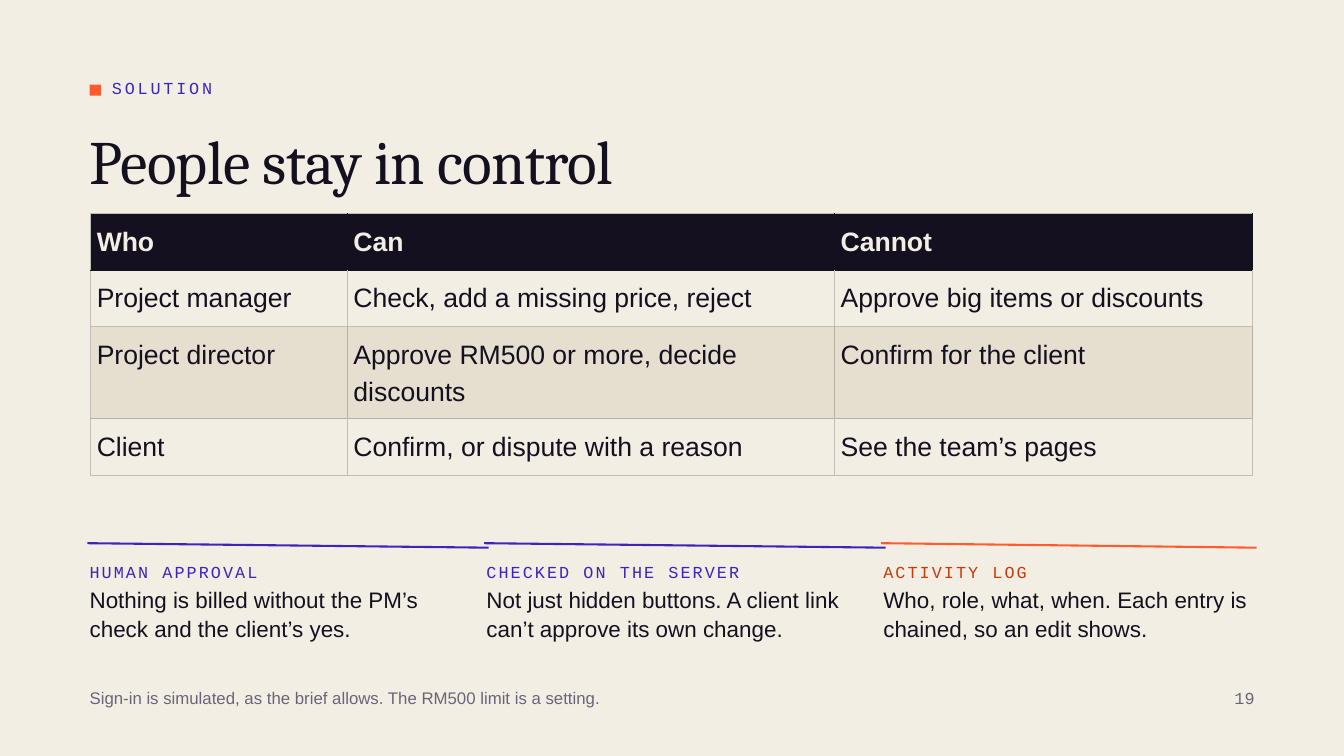
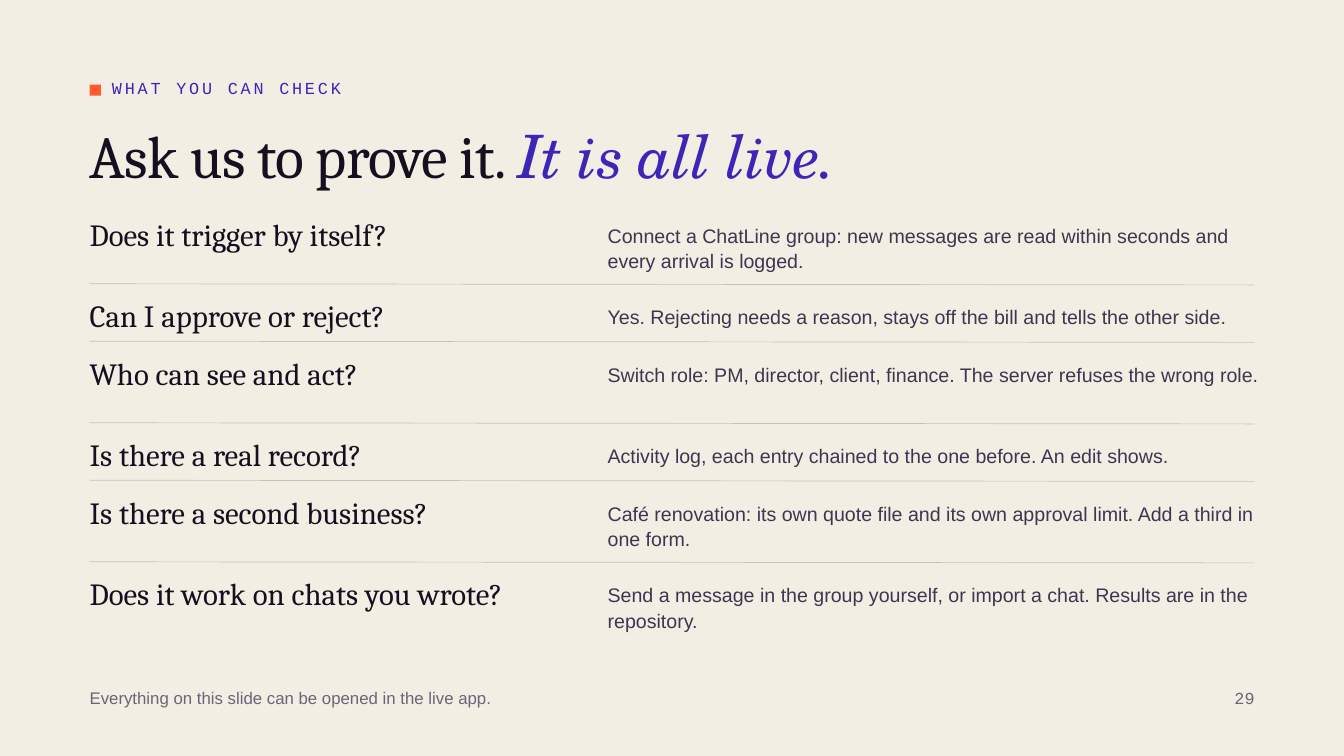
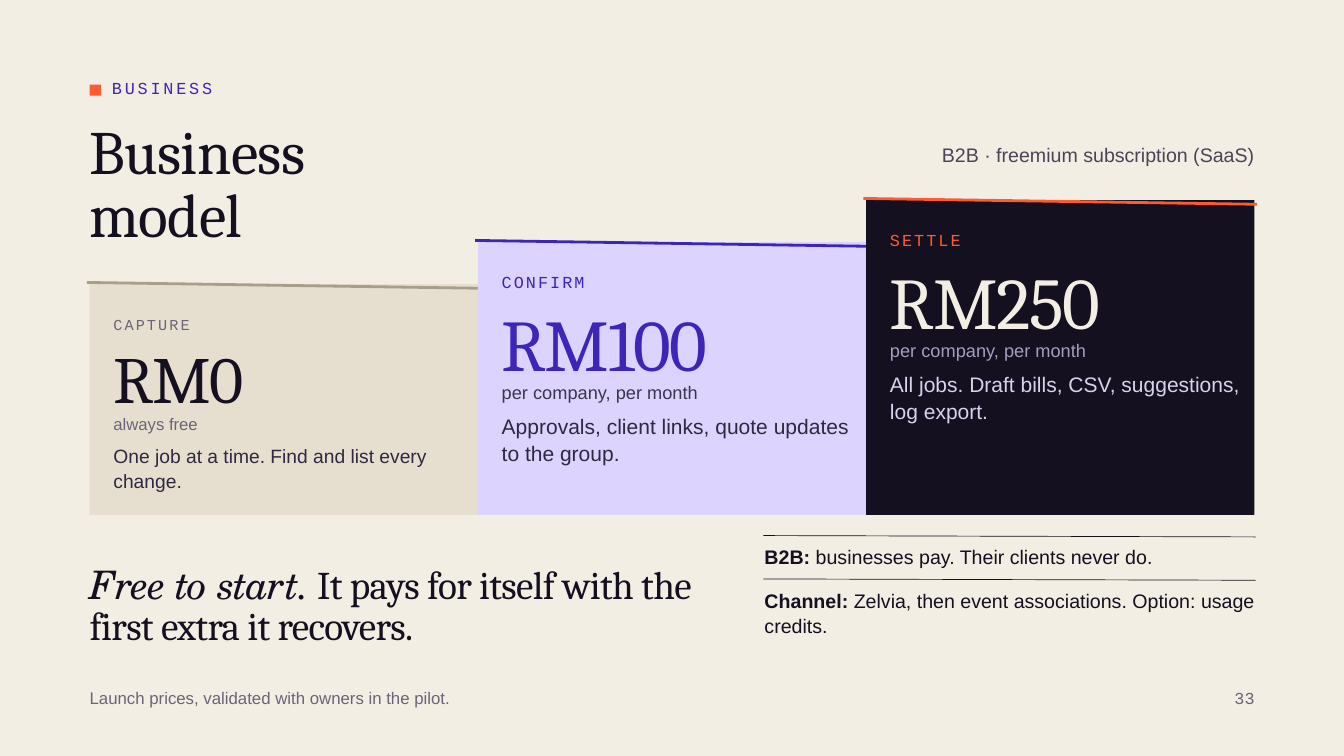
from dataclasses import dataclass, replace

from lxml import etree
from pptx import Presentation
from pptx.dml.color import RGBColor
from pptx.enum.shapes import MSO_CONNECTOR, MSO_SHAPE
from pptx.enum.text import MSO_AUTO_SIZE, PP_ALIGN
from pptx.oxml.ns import qn
from pptx.util import Inches, Pt

RECTANGLE = MSO_SHAPE.RECTANGLE
STRAIGHT = MSO_CONNECTOR.STRAIGHT
GROW = MSO_AUTO_SIZE.SHAPE_TO_FIT_TEXT
LEFT, RIGHT = PP_ALIGN.LEFT, PP_ALIGN.RIGHT

SLIDE_WIDTH, SLIDE_HEIGHT = 20, 11.25
GRID_COLUMNS, GRID_ROWS = 120, 67.5
TEXT_SLACK = 1.03


@dataclass(frozen=True)
class Style:
    size: float
    leading: float
    colour: str
    font: str = "Arial"
    spacing: float = 0
    bold: bool = False
    italic: bool = False


@dataclass(frozen=True)
class Theme:
    paper: str = "F3EEE4"
    ink: str = "14101F"
    indigo: str = "3D25B8"
    orange: str = "FF5B2E"
    rust: str = "C93A0B"
    sand: str = "E6DFD0"
    lilac: str = "DCD3FF"
    khaki: str = "A89F8A"
    rule: str = "C9C1B0"
    grid: str = "C2BEB6"
    grid_dark: str = "14111C"
    grid_sand: str = "B8B2A6"
    muted: str = "6B6478"
    plum: str = "2E2940"
    slate: str = "3A3550"
    mist: str = "A59DC0"
    pale: str = "D9D2EE"
    accent_font: str = "TeX Gyre Schola"
    eyebrow: Style = Style(18, 25.2, indigo, "Courier New", 3)
    label: Style = Style(18, 25.2, indigo, "Courier New", 2.2)
    title: Style = Style(66, 67.3, ink, "Cambria", -0.7)
    title_mixed: Style = Style(64.1, 65.4, ink, "Cambria", -0.8)
    statement: Style = Style(42, 44.1, ink, "Cambria", -0.7)
    question: Style = Style(33, 36.3, ink, "Cambria")
    answer: Style = Style(21, 27.3, "3D3650")
    note: Style = Style(21, 27.3, ink)
    aside: Style = Style(21, 29.4, "4A4458")
    body: Style = Style(24, 31.2, ink)
    cell: Style = Style(28.5, 39.9, ink)
    footnote: Style = Style(18, 24.3, muted)
    page_number: Style = Style(18, 25.2, muted, "Courier New")
    amount: Style = Style(78, 78, ink, "Cambria", -1.5)
    period: Style = Style(19.5, 27.3, muted)
    summary: Style = Style(22.5, 29.2, plum)


THEME = Theme()


@dataclass(frozen=True)
class Box:
    left: float
    top: float
    width: float
    height: float

    @property
    def right(self):
        return self.left + self.width

    def area(self, column, row, width, height):
        return Box(self.left + column, self.top + row, width, height)

    def emu(self):
        return [grid(v) for v in (self.left, self.top, self.width, self.height)]


CONTENT = Box(8, 0, 104, GRID_ROWS)


def grid(units):
    return Inches(units * SLIDE_WIDTH / GRID_COLUMNS)


def rgb(colour):
    return RGBColor.from_string(colour)


def apply_style(font, style):
    font.name = style.font
    font.size = Pt(style.size)
    font.bold = style.bold
    font.italic = style.italic
    font.color.rgb = rgb(style.colour)
    font._rPr.set("spc", str(round(style.spacing * 100)))


def write(text_frame, content, style, align=LEFT):
    runs = [(content, style)] if isinstance(content, str) else content
    paragraph = text_frame.paragraphs[0]
    paragraph.alignment = align
    paragraph.line_spacing = Pt(style.leading)
    apply_style(paragraph.font, style)
    for text, run_style in runs:
        run = paragraph.add_run()
        run.text = text
        if run_style != style:
            apply_style(run.font, run_style)


def set_margins(holder, inches):
    holder.margin_left = holder.margin_right = Inches(inches)
    holder.margin_top = holder.margin_bottom = Inches(inches)


def add_text(slide, box, content, style, align=LEFT):
    text_frame = slide.shapes.add_textbox(*box.emu()).text_frame
    set_margins(text_frame, 0)
    text_frame.word_wrap = True
    text_frame.auto_size = GROW
    write(text_frame, content, style, align)


def add_panel(slide, box, colour):
    shape = slide.shapes.add_shape(RECTANGLE, *box.emu())
    shape.shadow.inherit = False
    shape.fill.solid()
    shape.fill.fore_color.rgb = rgb(colour)
    shape.line.fill.background()


def add_slope(slide, left, right, top, drop, colour, points):
    ends = [grid(v) for v in (left, top, right, top + drop)]
    connector = slide.shapes.add_connector(STRAIGHT, *ends)
    connector.line.color.rgb = rgb(colour)
    connector.line.width = Pt(points)
    etree.SubElement(connector._element.spPr, qn("a:effectLst"))


def add_border(cell, side, colour):
    line = etree.SubElement(cell._tc.get_or_add_tcPr(), qn(f"a:ln{side}"), w=str(Pt(1)))
    fill = etree.SubElement(line, qn("a:solidFill"))
    etree.SubElement(fill, qn("a:srgbClr"), val=colour)


def add_frame(presentation, eyebrow, footnote, number):
    slide = presentation.slides.add_slide(presentation.slide_layouts[6])
    slide.background.fill.solid()
    slide.background.fill.fore_color.rgb = rgb(THEME.paper)
    add_panel(slide, CONTENT.area(0, 7.55, 1, 1), THEME.orange)
    add_text(slide, CONTENT.area(2, 6.66, 30, 2.64), eyebrow, THEME.eyebrow)
    add_text(slide, CONTENT.area(0, 61.14, 96.5, 2.6), footnote, THEME.footnote)
    add_text(slide, CONTENT.area(102.22, 61.1, 2.3, 2.64), number, THEME.page_number)
    return slide


def add_title(slide, row, content, style, width=CONTENT.width * TEXT_SLACK):
    add_text(slide, CONTENT.area(0, row, width, 5.1), content, style)


def add_roles_table(slide, box, rows, column_widths, row_heights):
    table = slide.shapes.add_table(len(rows), len(column_widths), *box.emu()).table
    table.first_row = table.horz_banding = False
    for column, width in zip(table.columns, column_widths):
        column.width = grid(width)
    heading = replace(THEME.cell, colour=THEME.paper, bold=True)
    looks = [
        (heading, THEME.ink, THEME.grid_dark),
        (THEME.cell, None, THEME.grid),
        (THEME.cell, THEME.sand, THEME.grid_sand),
        (THEME.cell, None, THEME.grid),
    ]
    edge_above = THEME.grid
    for r, (texts, (style, fill, edge)) in enumerate(zip(rows, looks)):
        table.rows[r].height = grid(row_heights[r])
        for c, text in enumerate(texts):
            cell = table.cell(r, c)
            set_margins(cell, 0.09)
            write(cell.text_frame, text, style)
            sides = {"L": edge if c else THEME.grid, "R": edge, "T": edge_above, "B": edge}
            for side, colour in sides.items():
                add_border(cell, side, colour)
            if fill:
                cell.fill.solid()
                cell.fill.fore_color.rgb = rgb(fill)
            else:
                cell.fill.background()
        edge_above = edge


def add_safeguards(slide, box, safeguards):
    gap = 2.3
    width = (box.width - gap * (len(safeguards) - 1)) / len(safeguards)
    for index, (label, text, line_colour, label_colour) in enumerate(safeguards):
        column = box.area(index * (width + gap), 0, width, box.height)
        line_end = min(column.right + gap, box.right) + 0.2
        add_slope(slide, column.left - 0.2, line_end, box.top, 0.4, line_colour, 2.25)
        text_width = width * TEXT_SLACK
        label_style = replace(THEME.label, colour=label_colour)
        add_text(slide, column.area(0, 1.36, text_width, 2.64), label, label_style)
        add_text(slide, column.area(0, 3.6, text_width, 5.7), text, THEME.body)


def add_questions(slide, box, questions):
    answer_column = 46.25
    answer_width = (box.width - answer_column) * TEXT_SLACK
    row = 0
    for index, (question, answer, lines) in enumerate(questions):
        if index:
            add_slope(slide, box.left, box.right, box.top + row - 1.44, 0.1, THEME.rule, 0.75)
        add_text(slide, box.area(0, row, 45.06, 3.06), question, THEME.question)
        add_text(slide, box.area(answer_column, row + 0.3, answer_width, 2.28 * lines),
                 answer, THEME.answer)
        row += 2.98 + 2.15 * lines


def add_plan(slide, box, plan):
    add_panel(slide, box, plan["fill"])
    add_slope(slide, box.left - 0.24, box.right + 0.24, box.top - 0.14, 0.52, plan["line"], 3)
    padding = 2.13
    width = (box.width - 2 * padding) * TEXT_SLACK
    for row, (text, style) in zip(plan["rows"], plan["texts"]):
        add_text(slide, box.area(padding, row, width, style.leading / 12), text, style)


def add_plan_steps(slide, box, plans):
    width = box.width / len(plans)
    rise = 3.75
    for index, plan in enumerate(plans):
        drop = rise * (len(plans) - 1 - index)
        add_plan(slide, box.area(index * width, drop, width, box.height - drop), plan)


def add_notes(slide, box, notes):
    lead = replace(THEME.note, bold=True)
    for index, (name, text) in enumerate(notes):
        row = 3.87 * index
        add_slope(slide, box.left - 0.1, box.right + 0.1, box.top + row, 0.12, THEME.ink, 0.75)
        add_text(slide, box.area(0, row + 0.7, box.width * TEXT_SLACK, 2.7),
                 [(name, lead), (text, THEME.note)], THEME.note)


def build_control_slide(presentation):
    slide = add_frame(presentation, "SOLUTION",
                      "Sign-in is simulated, as the brief allows. The RM500 limit is a setting.", "19")
    add_title(slide, 12, "People stay in control", THEME.title)
    add_roles_table(slide, CONTENT.area(0.1, 19.08, 103.7, 23.4), [
        ("Who", "Can", "Cannot"),
        ("Project manager", "Check, add a missing price, reject", "Approve big items or discounts"),
        ("Project director", "Approve RM500 or more, decide discounts", "Confirm for the client"),
        ("Client", "Confirm, or dispute with a reason", "See the team’s pages"),
    ], (22.92, 43.5, 37.3), (5.04, 5.04, 8.22, 5.04))
    add_safeguards(slide, CONTENT.area(0, 48.5, CONTENT.width, 9.3), [
        ("HUMAN APPROVAL", "Nothing is billed without the PM’s check and the client’s yes.",
         THEME.indigo, THEME.indigo),
        ("CHECKED ON THE SERVER", "Not just hidden buttons. A client link can’t approve its own change.",
         THEME.indigo, THEME.indigo),
        ("ACTIVITY LOG", "Who, role, what, when. Each entry is chained, so an edit shows.",
         THEME.orange, THEME.rust),
    ])


def build_proof_slide(presentation):
    slide = add_frame(presentation, "WHAT YOU CAN CHECK",
                      "Everything on this slide can be opened in the live app.", "29")
    live = replace(THEME.title_mixed, font=THEME.accent_font, colour=THEME.indigo, italic=True)
    add_title(slide, 11.58, [("Ask us to prove it. ", THEME.title_mixed), ("It is all live.", live)],
              THEME.title_mixed)
    add_questions(slide, CONTENT.area(0, 19.5, CONTENT.width, 38), [
        ("Does it trigger by itself?",
         "Connect a ChatLine group: new messages are read within seconds and every arrival is logged.", 2),
        ("Can I approve or reject?",
         "Yes. Rejecting needs a reason, stays off the bill and tells the other side.", 1),
        ("Who can see and act?",
         "Switch role: PM, director, client, finance. The server refuses the wrong role.", 2),
        ("Is there a real record?",
         "Activity log, each entry chained to the one before. An edit shows.", 1),
        ("Is there a second business?",
         "Café renovation: its own quote file and its own approval limit. Add a third in one form.", 2),
        ("Does it work on chats you wrote?",
         "Send a message in the group yourself, or import a chat. Results are in the repository.", 2),
    ])


def build_business_slide(presentation):
    slide = add_frame(presentation, "BUSINESS",
                      "Launch prices, validated with owners in the pilot.", "33")
    add_title(slide, 11.1, "Business model", THEME.title, 33.36)
    add_text(slide, CONTENT.area(71.4, 12.42, 32.6, 3), "B2B · freemium subscription (SaaS)",
             THEME.aside, RIGHT)
    small_rows, large_rows = (2.48, 5.95, 11.3, 14.12), (2.33, 6.34, 12.1, 15.12)
    add_plan_steps(slide, CONTENT.area(0, 17.86, CONTENT.width, 28.12), [
        {"fill": THEME.sand, "line": THEME.khaki, "rows": small_rows, "texts": [
            ("CAPTURE", replace(THEME.label, size=16.3, leading=22.8, colour=THEME.muted)),
            ("RM0", replace(THEME.amount, size=70.7, leading=70.7)),
            ("always free", replace(THEME.period, size=17.9, leading=25.1)),
            ("One job at a time. Find and list every change.",
             replace(THEME.summary, size=20.6, leading=26.8))]},
        {"fill": THEME.lilac, "line": THEME.indigo, "rows": large_rows, "texts": [
            ("CONFIRM", THEME.label),
            ("RM100", replace(THEME.amount, colour=THEME.indigo)),
            ("per company, per month", replace(THEME.period, colour=THEME.slate)),
            ("Approvals, client links, quote updates to the group.", THEME.summary)]},
        {"fill": THEME.ink, "line": THEME.orange, "rows": large_rows, "texts": [
            ("SETTLE", replace(THEME.label, colour=THEME.orange)),
            ("RM250", replace(THEME.amount, colour=THEME.paper)),
            ("per company, per month", replace(THEME.period, colour=THEME.mist)),
            ("All jobs. Draft bills, CSV, suggestions, log export.",
             replace(THEME.summary, colour=THEME.pale))]},
    ])
    free = replace(THEME.statement, font=THEME.accent_font, italic=True)
    add_text(slide, CONTENT.area(0, 50.52, 57.96, 7.2), [
        ("Free to start.", free),
        (" It pays for itself with the first extra it recovers.", THEME.statement),
    ], THEME.statement)
    add_notes(slide, CONTENT.area(60.26, 47.82, 43.74, 9.6), [
        ("B2B:", " businesses pay. Their clients never do."),
        ("Channel:", " Zelvia, then event associations. Option: usage credits."),
    ])


def main():
    presentation = Presentation()
    presentation.slide_width = Inches(SLIDE_WIDTH)
    presentation.slide_height = Inches(SLIDE_HEIGHT)
    build_control_slide(presentation)
    build_proof_slide(presentation)
    build_business_slide(presentation)
    presentation.save("out.pptx")


if __name__ == "__main__":
    main()
